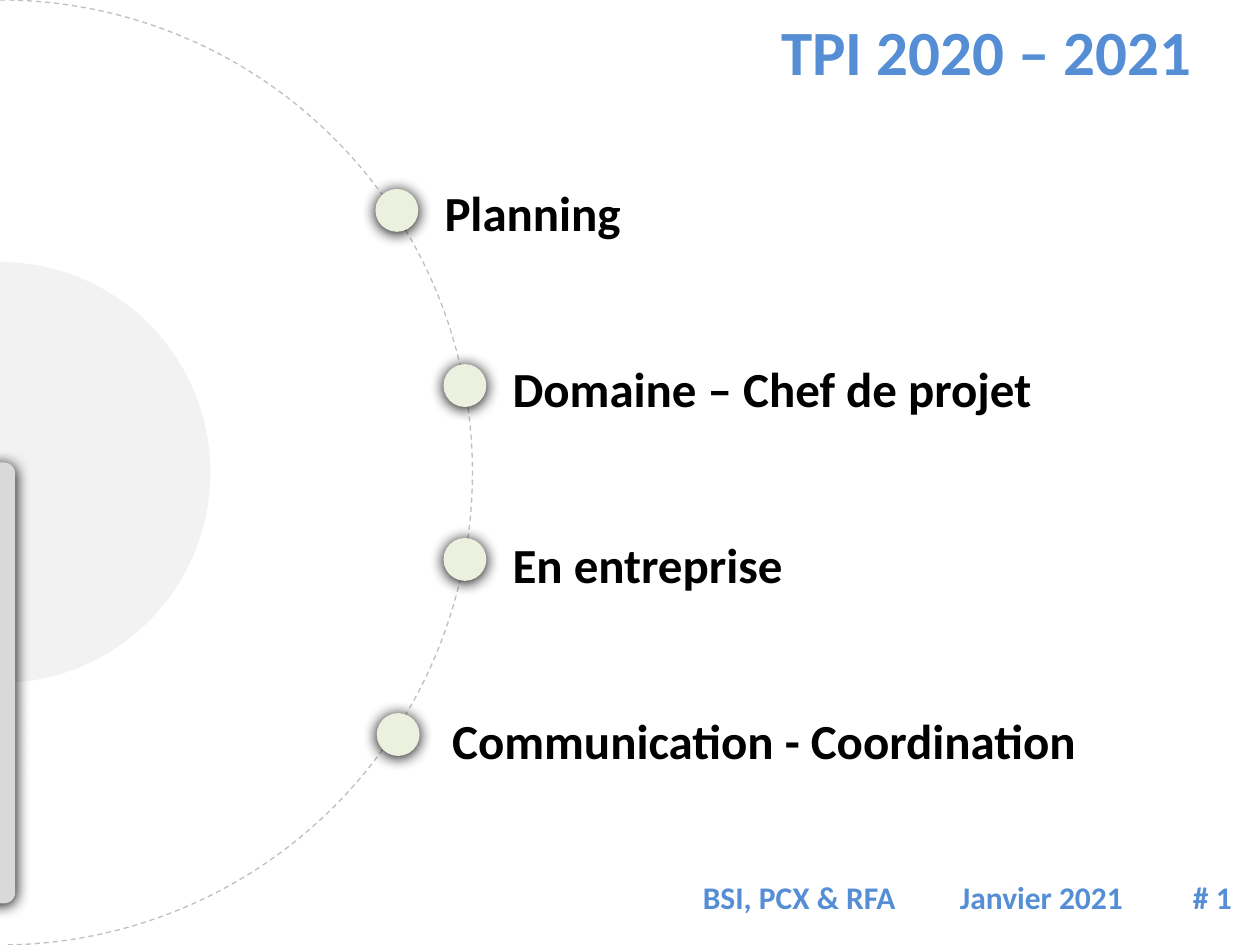
from lxml import etree
from pptx import Presentation
from pptx.dml.color import RGBColor
from pptx.enum.dml import MSO_LINE
from pptx.enum.shapes import MSO_SHAPE
from pptx.oxml.ns import qn
from pptx.util import Inches, Pt

ARC, OVAL, ROUNDED = MSO_SHAPE.ARC, MSO_SHAPE.OVAL, MSO_SHAPE.ROUNDED_RECTANGLE
DASH = MSO_LINE.DASH
BLUE, BLACK, WHITE, PALE_GREEN = "558ED5", "000000", "FFFFFF", "EBF1DE"
LIGHT_GREY, MID_GREY, RULE_GREY = "F2F2F2", "D9D9D9", "BFBFBF"


def color(hex_value):
    return RGBColor.from_string(hex_value)


class SlideBuilder:
    font = "Calibri"

    def __init__(self, slide):
        self.slide = slide

    def text(self, content, left, top, width, height, size, ink, tabs=()):
        box = self.slide.shapes.add_textbox(*map(Inches, (left, top, width, height)))
        frame = box.text_frame
        frame.word_wrap = True
        paragraph = frame.paragraphs[0]
        run = paragraph.add_run()
        run.text = content
        for name, value in {"name": self.font, "size": Pt(size), "bold": True}.items():
            setattr(run.font, name, value)
        run.font.color.rgb = color(ink)
        if tabs:
            stops = etree.SubElement(paragraph._p.get_or_add_pPr(), qn("a:tabLst"))
            for position in tabs:
                etree.SubElement(stops, qn("a:tab"), pos=str(Inches(position)), algn="l")

    def shape(self, kind, left, top, width, height, fill, adjustments=()):
        item = self.slide.shapes.add_shape(kind, *map(Inches, (left, top, width, height)))
        for index, value in enumerate(adjustments):
            item.adjustments[index] = value
        item.fill.solid()
        item.fill.fore_color.rgb = color(fill)
        item.line.fill.background()
        item.shadow.inherit = False
        return item

    def half_disc(self, radius, fill, end_angle):
        return self.shape(ARC, -radius, 3.75 - radius, 2 * radius, 2 * radius,
                          fill, (162, end_angle))

    def raised(self, *args, **kwargs):
        item = self.shape(*args, **kwargs)
        effects = item._element.spPr.find(qn("a:effectLst"))
        shadow = etree.SubElement(effects, qn("a:outerShdw"), blurRad=str(Pt(8.5)),
                                  dist=str(Pt(1)), dir="5400000", rotWithShape="0")
        etree.SubElement(shadow, qn("a:srgbClr"), val=BLACK)
        return item


def main():
    deck = Presentation()
    deck.slide_width, deck.slide_height = Inches(10), Inches(7.5)
    builder = SlideBuilder(deck.slides.add_slide(deck.slide_layouts[6]))

    # Title and footer
    builder.text("TPI 2020 – 2021", 6.1, 0.05, 3.85, 0.71, 36, BLUE)
    builder.text("BSI, PCX & RFA\tJanvier 2021\t# 1", 5.48, 6.92, 4.4, 0.4, 18, BLUE,
                 tabs=(2.04, 3.89))

    # Dashed outer arc
    orbit = builder.half_disc(3.75, WHITE, 53.71)
    orbit.line.color.rgb = color(RULE_GREY)
    orbit.line.width = Pt(0.75)
    orbit.line.dash_style = DASH

    # Topics, each with a dot on the arc
    topics = [
        ("Planning", 3.43, 1.4, 4.74, 2.98, 1.5),
        ("Domaine – Chef de projet", 3.97, 2.8, 5.6, 3.52, 2.89),
        ("En entreprise", 3.97, 4.19, 5.2, 3.52, 4.27),
        ("Communication - Coordination", 3.49, 5.59, 5.45, 2.99, 5.66),
    ]
    for topic, left, top, width, dot_left, dot_top in topics:
        builder.text(topic, left, top, width, 0.57, 28, BLACK)
        builder.raised(OVAL, dot_left, dot_top, 0.34, 0.34, PALE_GREEN)

    # Hub and needle at the left edge
    builder.half_disc(1.67, LIGHT_GREY, 53.6)
    needle = builder.raised(ROUNDED, -0.13, 3.67, 0.25, 3.5, MID_GREY, (0.35,))
    needle.rotation = 180

    deck.save("out.pptx")


if __name__ == "__main__":
    main()
